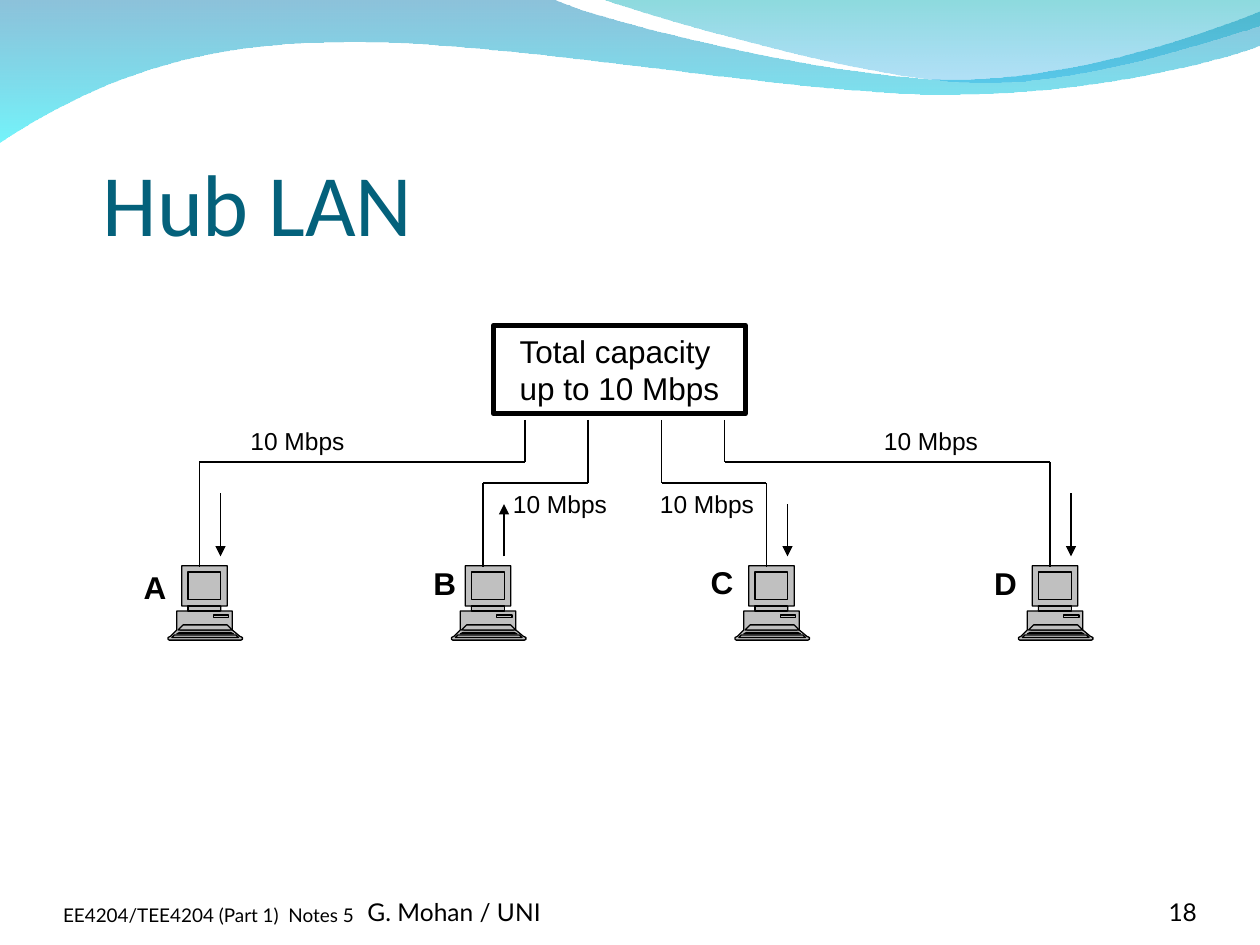
from pptx import Presentation
from pptx.dml.color import RGBColor
from pptx.enum.shapes import MSO_CONNECTOR, MSO_SHAPE
from pptx.enum.text import MSO_ANCHOR, PP_ALIGN
from pptx.oxml.ns import qn
from pptx.util import Pt
from lxml.etree import SubElement

WAVE = [
    [(0, 0)],
    [(316.8, 0)],
    [(342.7, 12.2), (478.1, 45.4), (545.8, 45.4)],
    [(614.2, 45.4), (689.8, 18.7), (720, 6.5)],
    [(720, 25.9)],
    [(707.8, 31.7), (626.4, 54.7), (537.1, 54)],
    [(447.8, 54), (275, 20.2), (185, 24.5)],
    [(92.9, 25.2), (33.1, 59.8), (0, 81.4)],
]
CREST = [
    [(344.9, 0)],
    [(366.5, 7.9), (491, 44.6), (553.7, 46.8)],
    [(616.3, 49.7), (691.9, 23), (720, 15.1)],
    [(720, 0)],
]


def color(value):
    return RGBColor.from_string(value)


def flatten(segments, steps=24):
    points = []
    for segment in segments:
        if len(segment) == 1:
            points.append(segment[0])
            continue
        controls = [points[-1], *segment]
        for step in range(1, steps + 1):
            t = step / steps
            weights = ((1 - t) ** 3, 3 * t * (1 - t) ** 2, 3 * t * t * (1 - t), t ** 3)
            points.append(tuple(sum(w * p[axis] for w, p in zip(weights, controls))
                                for axis in (0, 1)))
    return points


def box(left, top, right, bottom):
    return [(left, top), (right, top), (right, bottom), (left, bottom)]


def trapezoid(bottom_right, bottom, top_right, top, width=42.5):
    return [(bottom_right, bottom), (top_right, top),
            (width - top_right, top), (width - bottom_right, bottom)]


BODY = [
    (41, 40.3), (36.7, 36.7), (36.7, 25.9), (30.2, 25.9), (30.2, 23), (33.8, 23),
    (33.8, 0), (7.9, 0), (7.9, 23), (11.5, 23), (11.5, 25.9), (5, 25.9), (5, 36.7),
    (1.4, 40.3), (0, 41), (0, 42), (0.7, 42.5), (41.8, 42.5), (42.5, 42), (42.5, 41),
]
COMPUTER = [
    BODY,
    trapezoid(35.3, 36.7, 33.8, 35.3),
    trapezoid(37.4, 38.9, 36, 38.2),
    trapezoid(40.3, 41, 38.9, 39.6),
    trapezoid(36.7, 36.7, 33.8, 33.8),
    box(25.9, 28.1, 34.6, 29.5),
    box(11.5, 3.6, 30.2, 19.4),
    box(11.5, 23, 30.2, 25.9),
]


class Sketch:
    ink = "000000"
    metal = "C0C0C0"
    thin = 0.75

    def __init__(self, slide):
        self.slide = slide

    def outline(self, contours, left=0, top=0):
        builder = None
        for contour in contours:
            points = [(Pt(left + x), Pt(top + y)) for x, y in contour]
            if builder is None:
                builder = self.slide.shapes.build_freeform(*points[0], scale=1.0)
            else:
                builder.move_to(*points[0])
            builder.add_line_segments(points[1:], close=True)
        shape = builder.convert_to_shape()
        shape.shadow.inherit = False
        return shape

    def wave(self, segments, stops):
        shape = self.outline([flatten(segments)])
        shape.line.fill.background()
        shape.fill.gradient()
        shape.fill.gradient_angle = 270
        for stop, (value, _) in zip(shape.fill.gradient_stops, stops):
            stop.color.rgb = color(value)
        fills = shape._element.spPr.iter(qn("a:srgbClr"))
        for fill, (_, opacity) in zip(fills, stops):
            SubElement(fill, qn("a:alpha")).set("val", str(opacity * 1000))

    def computer(self, left, top):
        shape = self.outline(COMPUTER, left, top)
        shape.fill.solid()
        shape.fill.fore_color.rgb = color(self.metal)
        self.stroke(shape.line, self.thin)
        first = next(shape._element.iter(qn("a:path")))
        layer = first
        for command in list(first)[1:]:
            if command.tag == qn("a:moveTo"):
                layer = SubElement(first.getparent(), qn("a:path"), dict(first.attrib))
            if layer is not first:
                layer.append(command)

    def stroke(self, line, width):
        line.color.rgb = color(self.ink)
        line.width = Pt(width)

    def line(self, start, end, arrow=False):
        connector = self.slide.shapes.add_connector(
            MSO_CONNECTOR.STRAIGHT, *map(Pt, start + end))
        self.stroke(connector.line, self.thin)
        if arrow:
            SubElement(connector.line._get_or_add_ln(), qn("a:tailEnd")).set("type", "triangle")
        SubElement(connector._element.spPr, qn("a:effectLst"))

    def wire(self, *points):
        for start, end in zip(points, points[1:]):
            self.line(start, end)

    def label(self, shape, text, size, font, value=None, bold=False, align=PP_ALIGN.LEFT,
              anchor=MSO_ANCHOR.TOP, insets=(7.2, 3.6, 7.2, 3.6), wrap=True, spacing=None):
        frame = shape.text_frame
        frame.word_wrap = wrap
        frame.vertical_anchor = anchor
        (frame.margin_left, frame.margin_top,
         frame.margin_right, frame.margin_bottom) = map(Pt, insets)
        frame.text = text
        for paragraph in frame.paragraphs:
            paragraph.alignment = align
            paragraph.line_spacing = spacing
            paragraph.font.name = font
            paragraph.font.size = Pt(size)
            paragraph.font.bold = bold
            paragraph.font.color.rgb = color(value or self.ink)

    def text(self, place, text, size, font="Arial", **style):
        shape = self.slide.shapes.add_textbox(*map(Pt, place))
        self.label(shape, text, size, font, **style)

    def hub(self, place, text):
        shape = self.slide.shapes.add_shape(MSO_SHAPE.RECTANGLE, *map(Pt, place))
        shape.shadow.inherit = False
        shape.fill.background()
        self.stroke(shape.line, 3)
        self.label(shape, text, 18, "Arial", align=PP_ALIGN.CENTER)


def main():
    presentation = Presentation()
    presentation.slide_width, presentation.slide_height = Pt(720), Pt(540)
    sketch = Sketch(presentation.slides.add_slide(presentation.slide_layouts[6]))

    sketch.wave(WAVE, [("0079AF", 45), ("00EBF8", 55)])
    sketch.wave(CREST, [("00ADB6", 45), ("009BE5", 30)])

    footer = dict(font="Lato", anchor=MSO_ANCHOR.BOTTOM, insets=(0, 0, 0, 0))
    sketch.text((36, 500.4, 168, 28.8), "EE4204/TEE4204 (Part 1)  Notes 5", 10.8,
                spacing=0.8, **footer)
    sketch.text((210, 500.4, 264, 28.8), "G. Mohan / UNI", 14, **footer)
    sketch.text((624, 500.4, 60, 28.8), "18", 14, align=PP_ALIGN.RIGHT, **footer)
    sketch.text((36, 55.4, 648, 90), "Hub LAN", 50, "Calibri", value="04617B",
                anchor=MSO_ANCHOR.BOTTOM, insets=(22.6, 3.6, 0, 0))

    stations = [
        ("A", (75, 321), (300, 264), (136, 240), (282, 318)),
        ("B", (240.5, 319), (336, 276), (286, 276), (318, 288)),
        ("C", (399, 318), (378, 276), (370, 276), (288, 318)),
        ("D", (561, 319), (414, 264), (498, 240), (282, 318)),
    ]
    for index, (name, name_at, (port, bend), rate_at, (tail, head)) in enumerate(stations):
        left = 96 + 162 * index
        drop = left + 18
        sketch.computer(left, 323.3)
        sketch.wire((port, 240), (port, bend), (drop, bend), (drop, 324))
        sketch.line((drop + 12, tail), (drop + 12, head), arrow=True)
        sketch.text((*name_at, 27.4, 28.8), name, 18, bold=True, wrap=False)
        sketch.text((*rate_at, 68.4, 24.5), "10 Mbps", 14, wrap=False)
    sketch.hub((282, 186, 144, 50.4), "Total capacity \nup to 10 Mbps")

    presentation.save("out.pptx")


if __name__ == "__main__":
    main()
